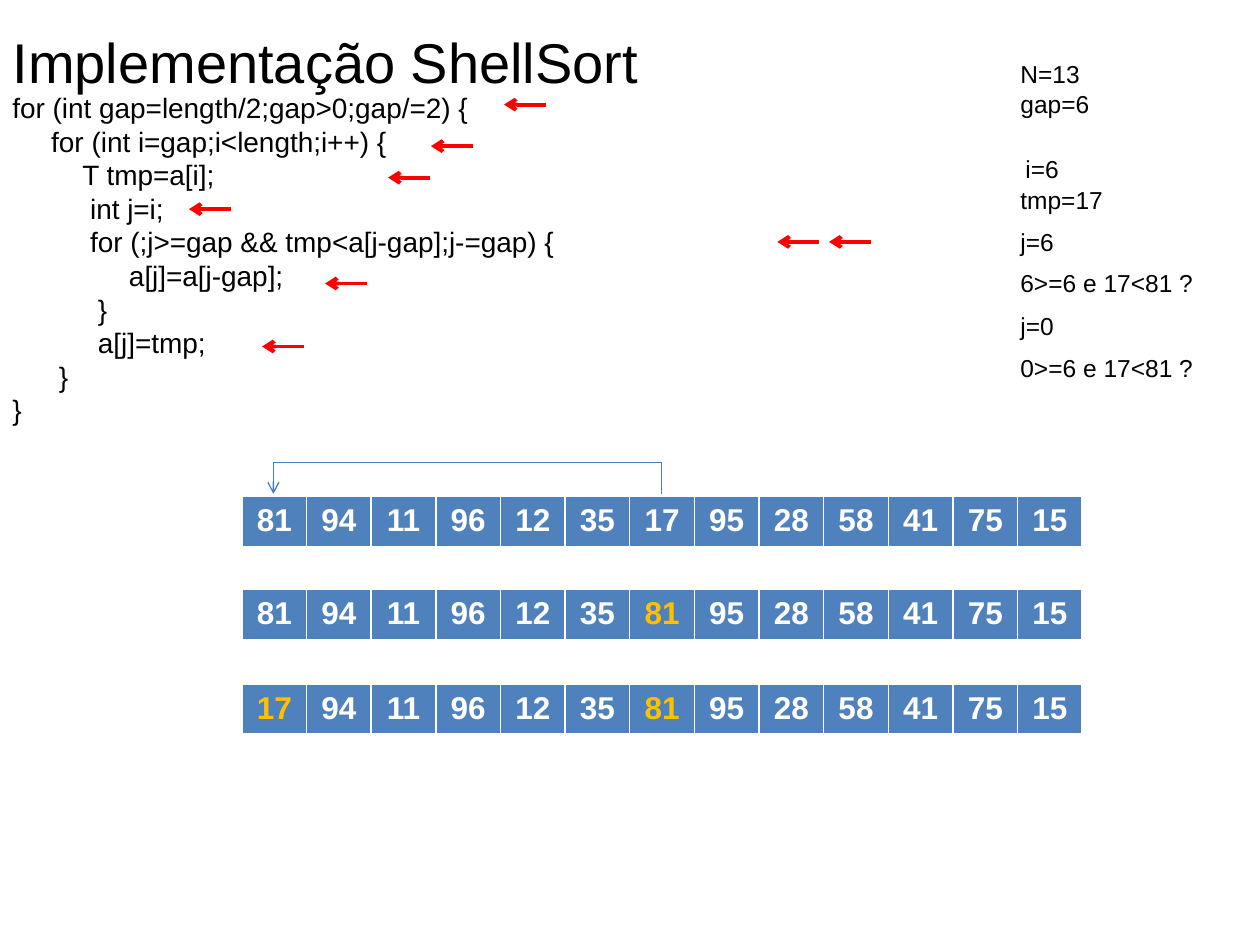
from lxml.etree import SubElement
from pptx import Presentation
from pptx.dml.color import RGBColor
from pptx.enum.shapes import MSO_CONNECTOR
from pptx.enum.text import MSO_ANCHOR, MSO_AUTO_SIZE, PP_ALIGN
from pptx.oxml.ns import qn
from pptx.util import Inches, Pt

BLACK = RGBColor(0x00, 0x00, 0x00)
WHITE = RGBColor(0xFF, 0xFF, 0xFF)
RED = RGBColor(0xFF, 0x00, 0x00)
GOLD = RGBColor(0xFF, 0xC0, 0x00)
CELL_BLUE = RGBColor(0x4F, 0x81, 0xBD)
LINE_BLUE = RGBColor(0x4B, 0x7E, 0xBC)

SPACE_16PT = 0.0617  # width of one Arial space at 16 pt, in inches

# Code lines with their indent, counted in spaces
CODE = [
    (0, "for (int gap=length/2;gap>0;gap/=2) {"),
    (5, "for (int i=gap;i<length;i++) {"),
    (9, "T tmp=a[i];"),
    (10, "int j=i;"),
    (10, "for (;j>=gap && tmp<a[j-gap];j-=gap) {"),
    (15, "a[j]=a[j-gap];"),
    (11, "}"),
    (11, "a[j]=tmp;"),
    (6, "}"),
    (0, "}"),
]

# Variable trace: left, top, width, height, lines
TRACE = [
    (8, 0.42, 0.75, 0.57, ["N=13", "gap=6"]),
    (8.04, 1.17, 0.47, 0.34, ["i=6"]),
    (8, 1.42, 0.86, 0.34, ["tmp=17"]),
    (8, 1.75, 0.47, 0.34, ["j=6"]),
    (8, 2.08, 1.57, 0.34, ["6>=6 e 17<81 ?"]),
    (8, 2.42, 0.47, 0.34, ["j=0"]),
    (8, 2.75, 1.57, 0.34, ["0>=6 e 17<81 ?"]),
]

# Tip of each step arrow
ARROW_TIPS = [(4, 0.83), (3.42, 1.16), (3.08, 1.41), (1.5, 1.66),
              (6.17, 1.92), (2.58, 2.25), (6.58, 1.92), (2.08, 2.75)]
ARROW_LENGTH = 0.33

# Array states: top, changes to the start values by index
VALUES = [81, 94, 11, 96, 12, 35, 17, 95, 28, 58, 41, 75, 15]
STATES = [(3.94, {}), (4.68, {6: 81}), (5.43, {0: 17, 6: 81})]


def write(p, text, size=14, color=BLACK, bold=False, align=PP_ALIGN.LEFT, indent=0):
    p.alignment = align
    if indent:
        p._p.get_or_add_pPr().set("marL", str(Inches(indent)))
    r = p.add_run()
    r.text = text
    r.font.name = "Arial"
    r.font.size = Pt(size)
    r.font.bold = bold
    r.font.color.rgb = color


def add_title(s, text):
    sp = s.shapes.title
    sp.left, sp.top, sp.width, sp.height = [Inches(v) for v in (0, 0.17, 5.21, 0.64)]
    tf = sp.text_frame
    tf.word_wrap = False
    tf.auto_size = MSO_AUTO_SIZE.NONE
    tf.vertical_anchor = MSO_ANCHOR.TOP
    write(tf.paragraphs[0], text, size=32)


def add_text(s, x, y, w, h, lines, wrap=False, size=14):
    """Add a text box; lines are pairs of indent in inches and text."""
    tf = s.shapes.add_textbox(Inches(x), Inches(y), Inches(w), Inches(h)).text_frame
    tf.word_wrap = wrap
    tf.auto_size = MSO_AUTO_SIZE.SHAPE_TO_FIT_TEXT
    for i, (indent, text) in enumerate(lines):
        p = tf.add_paragraph() if i else tf.paragraphs[0]
        write(p, text, size=size, indent=indent)


def add_line(s, start, end, color, width, arrow=False):
    points = [Inches(v) for v in (*start, *end)]
    line = s.shapes.add_connector(MSO_CONNECTOR.STRAIGHT, *points)
    line.line.color.rgb = color
    line.line.width = Pt(width)
    if arrow:
        SubElement(line.line._get_or_add_ln(), qn("a:tailEnd"), type="arrow")
    SubElement(line._element.spPr, qn("a:effectLst"))


def set_borders(cell):
    tc_pr = cell._tc.get_or_add_tcPr()
    for i, (side, width) in enumerate([("L", 1), ("R", 1), ("T", 1), ("B", 3)]):
        ln = tc_pr.makeelement(qn(f"a:ln{side}"), {"w": str(Pt(width))})
        fill = SubElement(ln, qn("a:solidFill"))
        SubElement(fill, qn("a:srgbClr"), val=str(WHITE))
        tc_pr.insert(i, ln)  # borders come before the fill


def add_array(s, top, changes):
    frame = s.shapes.add_table(1, len(VALUES), Inches(1.92), Inches(top),
                               Inches(6.67), Inches(0.41))
    for i, value in enumerate(VALUES):
        cell = frame.table.cell(0, i)
        cell.fill.solid()
        cell.fill.fore_color.rgb = CELL_BLUE
        set_borders(cell)
        write(cell.text_frame.paragraphs[0], str(changes.get(i, value)), size=18,
              color=GOLD if i in changes else WHITE, bold=True, align=PP_ALIGN.CENTER)


def main():
    prs = Presentation()
    prs.slide_width, prs.slide_height = Inches(10), Inches(7.5)
    s = prs.slides.add_slide(prs.slide_layouts[5])

    # Title and code
    add_title(s, "Implementação ShellSort")
    code = [(spaces * SPACE_16PT, text) for spaces, text in CODE]
    add_text(s, 0, 0.67, 6.33, 2.79, code, wrap=True, size=16)

    # Array states
    for top, changes in STATES:
        add_array(s, top, changes)

    # Bracket from the seventh cell back to the first
    add_line(s, (2.17, 3.67), (5.25, 3.67), LINE_BLUE, 0.75)
    add_line(s, (5.25, 3.67), (5.25, 3.92), LINE_BLUE, 0.75)
    add_line(s, (2.17, 3.67), (2.17, 3.92), LINE_BLUE, 0.75, arrow=True)

    # Variable trace
    for x, y, w, h, lines in TRACE:
        add_text(s, x, y, w, h, [(0, text) for text in lines])

    # Step arrows
    for x, y in ARROW_TIPS:
        add_line(s, (x + ARROW_LENGTH, y), (x, y), RED, 2.25, arrow=True)

    prs.save("out.pptx")


main()
